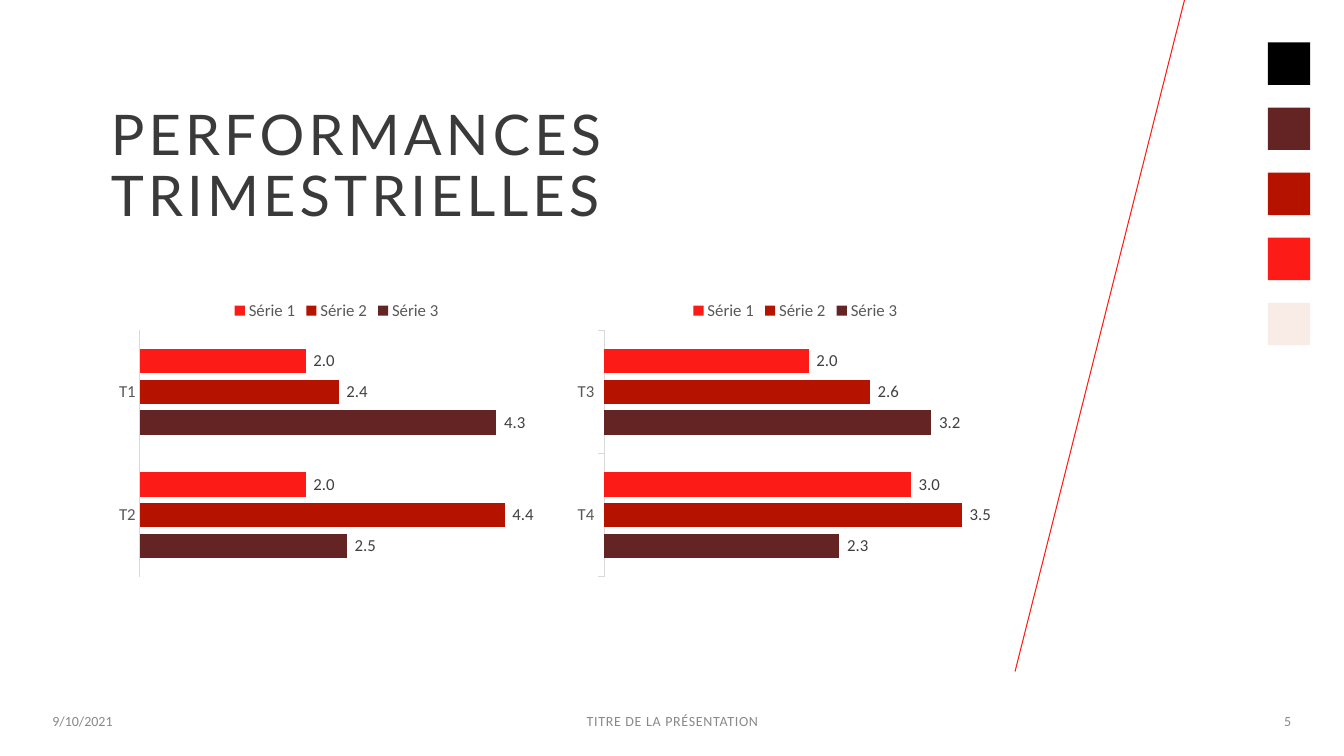
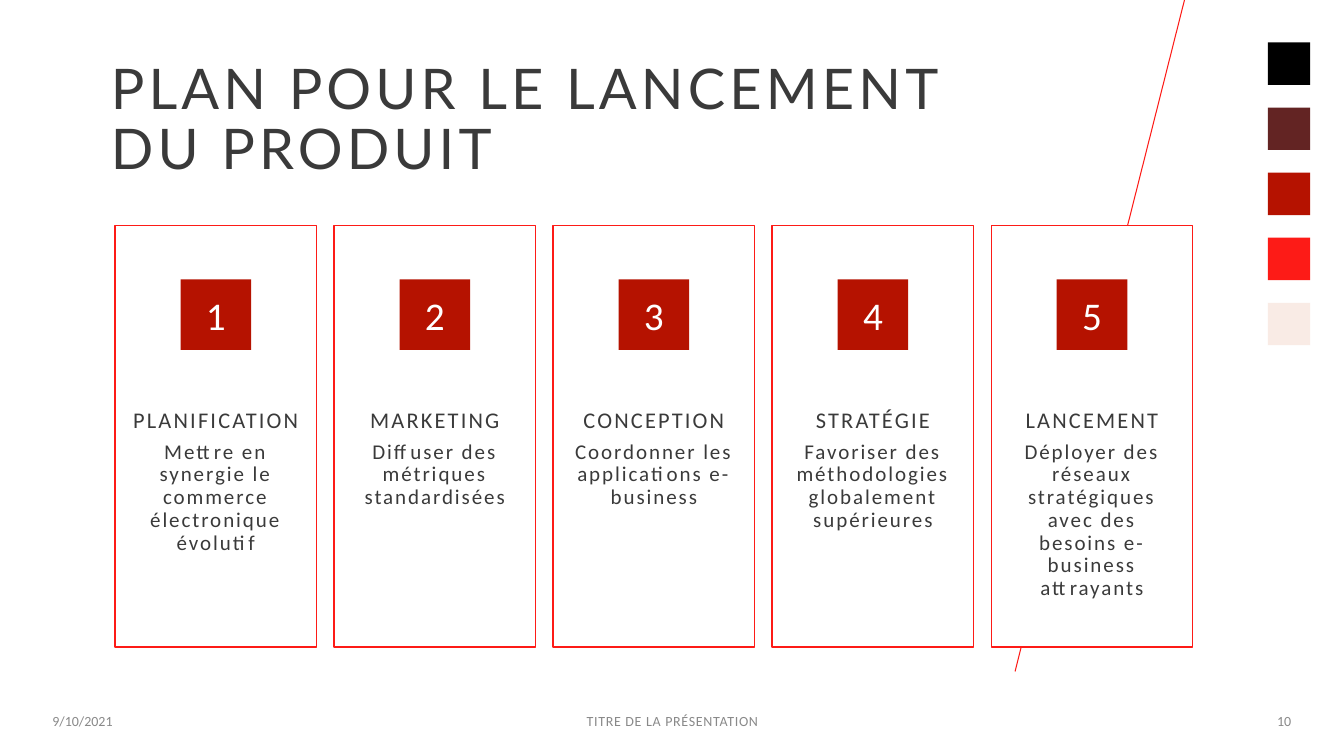
from lxml import etree
from pptx import Presentation
from pptx.chart.data import CategoryChartData
from pptx.dml.color import RGBColor
from pptx.enum.chart import XL_CHART_TYPE as ChartType
from pptx.enum.chart import XL_LABEL_POSITION as LabelPosition
from pptx.enum.chart import XL_LEGEND_POSITION as LegendPosition
from pptx.enum.chart import XL_TICK_MARK as Tick
from pptx.enum.shapes import MSO_CONNECTOR as Connector
from pptx.enum.shapes import MSO_SHAPE as Shape
from pptx.enum.text import MSO_ANCHOR as Anchor
from pptx.enum.text import MSO_AUTO_SIZE as AutoSize
from pptx.enum.text import PP_ALIGN as Align
from pptx.oxml.ns import qn
from pptx.util import Cm, Pt

# Shared colours and fonts
BLACK = RGBColor(0x00, 0x00, 0x00)
WHITE = RGBColor(0xFF, 0xFF, 0xFF)
MAROON = RGBColor(0x63, 0x24, 0x23)
DARK_RED = RGBColor(0xB5, 0x12, 0x00)
RED = RGBColor(0xFD, 0x1B, 0x17)
BLUSH = RGBColor(0xF9, 0xEB, 0xE5)
INK = RGBColor(0x3A, 0x3A, 0x3A)
LABEL_GREY = RGBColor(0x40, 0x40, 0x40)
AXIS_GREY = RGBColor(0x59, 0x59, 0x59)
FOOTER_GREY = RGBColor(0x89, 0x89, 0x89)
RULE_GREY = RGBColor(0xD9, 0xD9, 0xD9)
TITLE_FONT, BODY_FONT = "Lato", "Calibri"

SLIDE_W, SLIDE_H = 33.87, 19.05
VALUE_FORMAT = "_(0.0_)"

# Content
SERIES_COLORS = {"Série 3": MAROON, "Série 2": DARK_RED, "Série 1": RED}
FIRST_HALF = {"Série 3": (2.5, 4.3), "Série 2": (4.4, 2.4), "Série 1": (2.0, 2.0)}
SECOND_HALF = {"Série 3": (2.3, 3.2), "Série 2": (3.5, 2.6), "Série 1": (3.0, 2.0)}
STEPS = [
    ("PLANIFICATION", "Mettre en synergie le commerce électronique évolutif"),
    ("MARKETING", "Diffuser des métriques standardisées"),
    ("CONCEPTION", "Coordonner les applications e-business"),
    ("STRATÉGIE", "Favoriser des méthodologies globalement supérieures"),
    ("LANCEMENT", "Déployer des réseaux stratégiques avec des besoins e-business attrayants"),
]


def cm_box(box):
    return [Cm(length) for length in box]


def style_font(font, size, color, name=BODY_FONT):
    font.size, font.name, font.bold = Pt(size), name, False
    font.color.rgb = color


def add_text(frame, text, *, size, color, font=BODY_FONT, align=Align.LEFT,
             anchor=Anchor.MIDDLE, spacing=0, line=1.0, after=0):
    """Append one paragraph, using the frame's first one if it is empty."""
    frame.word_wrap = True
    frame.auto_size = AutoSize.NONE
    frame.vertical_anchor = anchor
    paragraph = frame.add_paragraph() if frame.text else frame.paragraphs[0]
    paragraph.alignment = align
    paragraph.line_spacing = line
    paragraph.space_before, paragraph.space_after = Pt(0), Pt(after)
    run = paragraph.add_run()
    run.text = text
    style_font(run.font, size, color, font)
    if spacing:
        run._r.get_or_add_rPr().set("spc", str(round(spacing * 100)))


def add_rect(slide, box, fill, outline=None):
    rect = slide.shapes.add_shape(Shape.RECTANGLE, *cm_box(box))
    rect.shadow.inherit = False
    rect.fill.solid()
    rect.fill.fore_color.rgb = fill
    if outline is None:
        rect.line.fill.background()
    else:
        rect.line.color.rgb = outline
        rect.line.width = Pt(1)
    return rect


def add_swatches(slide, left, top, side=1.07, pitch=1.64):
    for row, color in enumerate((BLACK, MAROON, DARK_RED, RED, BLUSH)):
        add_rect(slide, (left, top + row * pitch, side, side), color)


def add_diagonal(slide, start, end):
    diagonal = slide.shapes.add_connector(Connector.STRAIGHT, *cm_box(start + end))
    diagonal.line.color.rgb = RED
    diagonal.line.width = Pt(0.75)
    etree.SubElement(diagonal._element.spPr, qn("a:effectLst"))


def add_footer(slide, number, top=17.65, height=1.02):
    parts = [
        (1.07, 4.8, "9/10/2021", Align.LEFT, 0),
        (11.23, 11.43, "TITRE DE LA PRÉSENTATION", Align.CENTER, 0.5),
        (28.52, 4.27, str(number), Align.RIGHT, 0),
    ]
    for left, width, text, align, spacing in parts:
        part = slide.shapes.add_textbox(*cm_box((left, top, width, height)))
        add_text(part.text_frame, text, size=10, color=FOOTER_GREY,
                 align=align, spacing=spacing)


def add_framed_slide(deck, title, title_box, number):
    """Title-only slide with the shared swatches, diagonal and footer."""
    slide = deck.slides.add_slide(deck.slide_layouts[5])
    heading = slide.shapes.title
    heading.left, heading.top, heading.width, heading.height = cm_box(title_box)
    add_text(heading.text_frame, title, size=40, color=INK, font=TITLE_FONT,
             spacing=3, line=0.9)
    add_swatches(slide, 31.95, 1.07)
    add_diagonal(slide, (29.85, 0), (25.58, 16.92))
    add_footer(slide, number)
    return slide


def add_quarter_chart(slide, box, quarters, series_values, top_value, tick):
    data = CategoryChartData(number_format=VALUE_FORMAT)
    data.categories = quarters
    for name, values in series_values.items():
        data.add_series(name, values)
    chart = slide.shapes.add_chart(ChartType.BAR_CLUSTERED, *cm_box(box), data).chart
    chart.has_title = False
    style_font(chart.font, 10, BLACK)

    chart.has_legend = True
    chart.legend.position = LegendPosition.TOP
    chart.legend.include_in_layout = False
    style_font(chart.legend.font, 12, AXIS_GREY)

    # Axes
    quarter_axis, value_axis = chart.category_axis, chart.value_axis
    quarter_axis.major_tick_mark = tick
    quarter_axis.minor_tick_mark = Tick.NONE
    quarter_axis.has_major_gridlines = False
    quarter_axis.format.line.color.rgb = RULE_GREY
    quarter_axis.format.line.width = Pt(0.75)
    style_font(quarter_axis.tick_labels.font, 12, AXIS_GREY)
    value_axis.visible = False
    value_axis.has_major_gridlines = False
    value_axis.minimum_scale, value_axis.maximum_scale = 0, top_value

    # Bars and their values
    plot = chart.plots[0]
    plot.gap_width, plot.overlap = 150, -25
    plot.vary_by_categories = False
    for series in plot.series:
        series.format.fill.solid()
        series.format.fill.fore_color.rgb = SERIES_COLORS[series.name]
        labels = series.data_labels
        labels.show_value = True
        labels.position = LabelPosition.OUTSIDE_END
        labels.number_format = VALUE_FORMAT
        labels.number_format_is_linked = False
        style_font(labels.font, 12, LABEL_GREY)


def add_step_card(slide, box, number, heading, detail):
    left, top, width, _ = box
    card = add_rect(slide, box, WHITE, RED)
    frame = card.text_frame
    frame.margin_left = frame.margin_right = Cm(0.38)
    frame.margin_top, frame.margin_bottom = Cm(4.62), Cm(2.49)
    shared = dict(color=INK, align=Align.CENTER, anchor=Anchor.TOP, line=0.9)
    add_text(frame, heading, size=16, spacing=1.6, after=5.6, **shared)
    add_text(frame, detail, size=15, spacing=1.4, after=2.2, **shared)

    side = 1.78
    badge_box = (left + (width - side) / 2, top + 1.35, side, side)
    badge = add_rect(slide, badge_box, DARK_RED)
    add_text(badge.text_frame, str(number), size=28, color=WHITE, align=Align.CENTER)


def build_performance_slide(deck):
    slide = add_framed_slide(deck, "PERFORMANCES TRIMESTRIELLES",
                             (2.54, 2.51, 23.19, 3.43), 5)
    top, width, height = 7.29, 11.43, 7.39
    add_quarter_chart(slide, (2.77, top, width, height), ("T2", "T1"),
                      FIRST_HALF, 5, Tick.NONE)
    add_quarter_chart(slide, (14.33, top, width, height), ("T4", "T3"),
                      SECOND_HALF, 4, Tick.OUTSIDE)


def build_launch_slide(deck):
    slide = add_framed_slide(deck, "PLAN POUR LE LANCEMENT DU PRODUIT",
                             (2.54, 1.24, 23.47, 3.63), 10)
    left, pitch = 2.9, 5.52
    for index, (heading, detail) in enumerate(STEPS):
        add_step_card(slide, (left + index * pitch, 5.69, 5.08, 10.62),
                      index + 1, heading, detail)


def main():
    deck = Presentation()
    deck.slide_width, deck.slide_height = Cm(SLIDE_W), Cm(SLIDE_H)
    build_performance_slide(deck)
    build_launch_slide(deck)
    deck.save("out.pptx")


if __name__ == "__main__":
    main()
